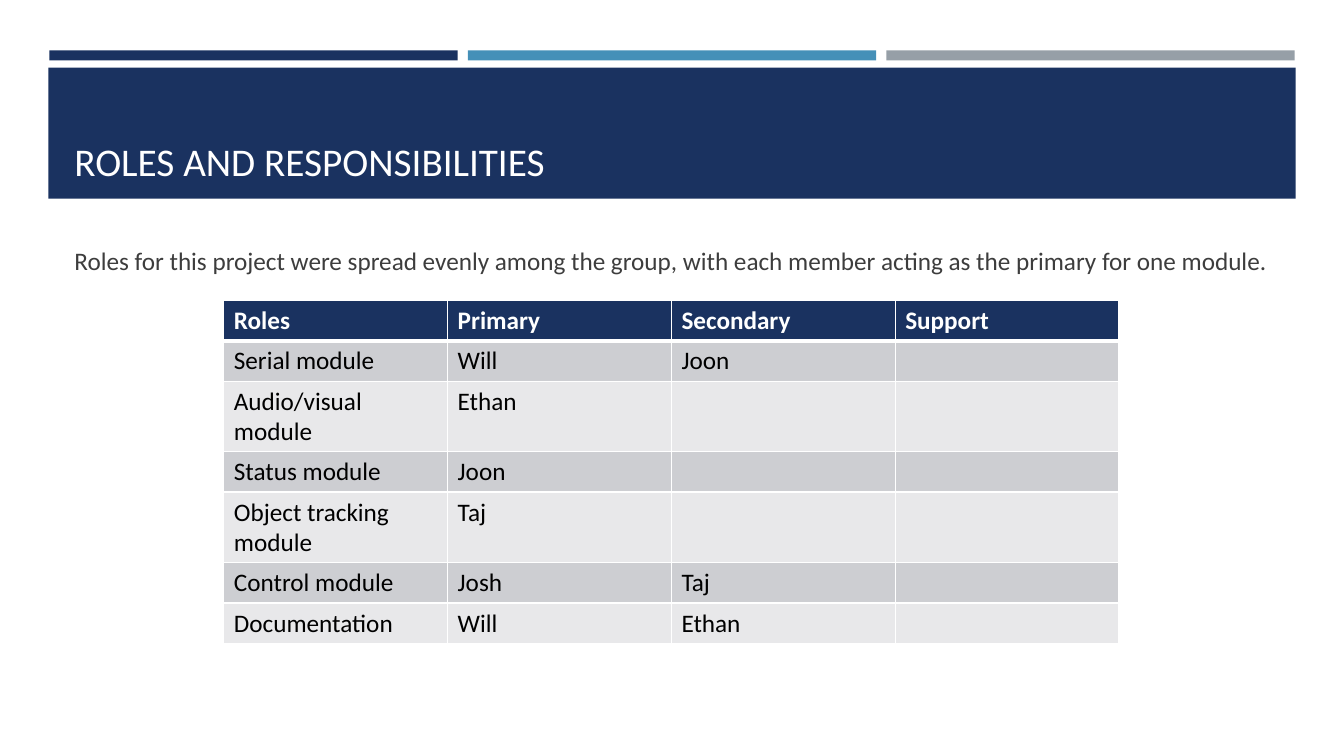
from dataclasses import dataclass

from lxml.etree import SubElement
from pptx import Presentation
from pptx.dml.color import RGBColor
from pptx.enum.shapes import MSO_SHAPE
from pptx.enum.text import MSO_ANCHOR
from pptx.oxml.ns import qn
from pptx.util import Inches, Pt


@dataclass(frozen=True)
class Theme:
    font: str = "Calibri"
    navy: str = "1A3260"
    blue: str = "4590B8"
    gray: str = "969FA7"
    white: str = "FFFFFF"
    black: str = "000000"
    body: str = "3D3D3D"
    dark_band: str = "CDCED2"
    light_band: str = "E8E8EA"
    title_size: int = 28
    text_size: int = 18
    thin_line: int = 1
    thick_line: int = 3


THEME = Theme()

ROLES = [
    ("Roles", "Primary", "Secondary", "Support"),
    ("Serial module", "Will", "Joon", ""),
    ("Audio/visual module", "Ethan", "", ""),
    ("Status module", "Joon", "", ""),
    ("Object tracking module", "Taj", "", ""),
    ("Control module", "Josh", "Taj", ""),
    ("Documentation", "Will", "Ethan", ""),
]


def add_bar(page, left, top, width, height, color):
    bar = page.shapes.add_shape(
        MSO_SHAPE.RECTANGLE, Inches(left), Inches(top), Inches(width), Inches(height))
    bar.shadow.inherit = False
    bar.fill.solid()
    bar.fill.fore_color.rgb = RGBColor.from_string(color)
    bar.line.fill.background()


def write_text(frame, text, size, color, bold=False):
    span = frame.paragraphs[0].add_run()
    span.text = text
    formats = {"name": THEME.font, "size": Pt(size), "bold": bold}
    for name, value in formats.items():
        setattr(span.font, name, value)
    span.font.color.rgb = RGBColor.from_string(color)


def add_text(page, left, top, width, height, text, size, color, anchor):
    box = page.shapes.add_textbox(
        Inches(left), Inches(top), Inches(width), Inches(height))
    box.text_frame.word_wrap = True
    box.text_frame.vertical_anchor = anchor
    write_text(box.text_frame, text, size, color)


def set_borders(cell, widths):
    properties = cell._tc.get_or_add_tcPr()
    for side, width in widths.items():
        line = SubElement(properties, qn(f"a:ln{side}"), w=str(Pt(width)))
        fill = SubElement(line, qn("a:solidFill"))
        SubElement(fill, qn("a:srgbClr"), val=THEME.white)


def add_roles_table(page, left, top, column_width, row_height):
    columns = len(ROLES[0])
    table = page.shapes.add_table(
        len(ROLES), columns, Inches(left), Inches(top),
        Inches(column_width * columns), Inches(row_height * len(ROLES))).table
    for column in table.columns:
        column.width = Inches(column_width)
    for row_index, row in enumerate(ROLES):
        header = row_index == 0
        band = THEME.dark_band if row_index % 2 else THEME.light_band
        # The rule under the header is shared by the first two rows
        widths = dict.fromkeys("LRTB", THEME.thin_line)
        if row_index < 2:
            widths["B" if header else "T"] = THEME.thick_line
        for column_index, text in enumerate(row):
            cell = table.cell(row_index, column_index)
            set_borders(cell, widths)
            cell.fill.solid()
            cell.fill.fore_color.rgb = RGBColor.from_string(
                THEME.navy if header else band)
            if text:
                write_text(cell.text_frame, text, THEME.text_size,
                           THEME.white if header else THEME.black, header)


def main():
    deck = Presentation()
    deck.slide_width, deck.slide_height = Inches(13.33), Inches(7.5)
    page = deck.slides.add_slide(deck.slide_layouts[6])

    # Accent strips and title band
    for index, color in enumerate((THEME.navy, THEME.blue, THEME.gray)):
        add_bar(page, 0.49 + index * 4.15, 0.5, 4.05, 0.1, color)
    add_bar(page, 0.48, 0.67, 12.37, 1.3, THEME.navy)

    # Title and introduction
    add_text(page, 0.64, 0.77, 12.06, 1.11, "ROLES AND RESPONSIBILITIES",
             THEME.title_size, THEME.white, MSO_ANCHOR.BOTTOM)
    add_text(page, 0.64, 2.38, 12.06, 0.5,
             "Roles for this project were spread evenly among the group, "
             "with each member acting as the primary for one module.",
             THEME.text_size, THEME.body, MSO_ANCHOR.TOP)

    # Role assignments
    add_roles_table(page, 2.22, 2.98, 2.22, 0.4)

    deck.save("out.pptx")


if __name__ == "__main__":
    main()
